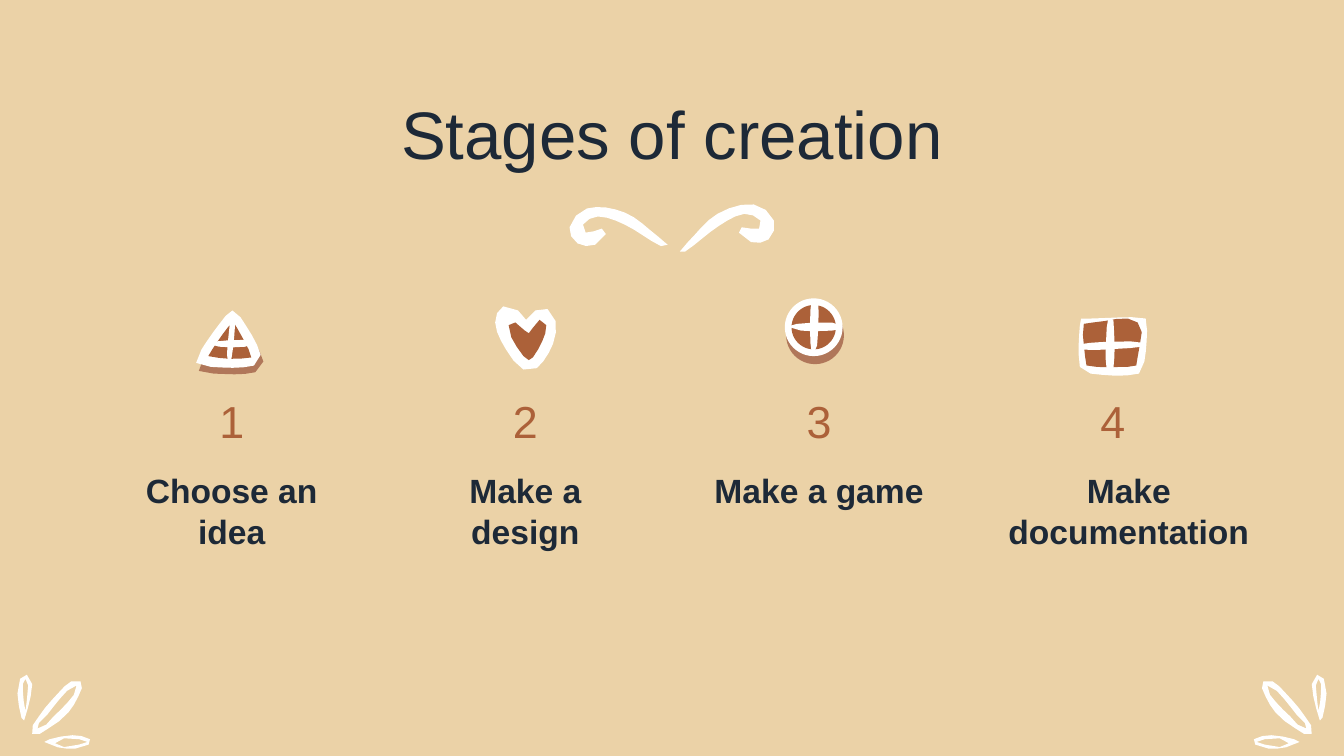
from pptx import Presentation
from pptx.dml.color import RGBColor
from pptx.enum.shapes import MSO_SHAPE
from pptx.enum.text import MSO_ANCHOR, MSO_AUTO_SIZE, PP_ALIGN
from pptx.util import Cm, Pt

COLORS = {"sand": "EBD2A7", "navy": "1D2937", "cocoa": "AC6139",
          "shade": "B0775A", "white": "FFFFFF"}
UNIT = Cm(2.54) / 100  # drawing grid of the ornaments and icons
CHORD = 8  # approximate length of a curve's straight pieces, in grid units

PETALS = [
    [[(47, 6), (40, 6), (31, 14), (16, 32), (11, 45), (23, 41), (38, 29), (48, 11)],
     [(44, 9), (42, 16), (27, 32), (15, 41), (22, 31), (37, 13)]],
    [[(7, 1), (2, 4), (0, 15), (3, 33), (5, 35), (11, 8)],
     [(6, 4), (8, 9), (7, 20), (6, 28), (4, 8)]],
    [[(54, 49), (41, 46), (24, 49), (20, 51), (30, 55), (43, 56), (53, 53)],
     [(52, 51), (46, 53), (28, 52), (46, 49)]],
]
SPRIG_WIDTH = 55

SWIRLS = [
    [(67, 25), (42, 7), (14, 4), (1, 18), (7, 30), (20, 31), (28, 23), (25, 19),
     (19, 21), (13, 22), (11, 16), (22, 10), (42, 16), (69, 32), (74, 31)],
    [(89, 29), (111, 8), (138, 1), (153, 13), (149, 27), (136, 29), (127, 22), (129, 18),
     (136, 19), (142, 19), (143, 13), (131, 8), (112, 17), (87, 36), (83, 36)],
]

# Each icon layer: colour and outline, or colour and (left, top, diameter) of a disc
TRIANGLE = [
    ("shade", [(74, 43), (91, 19), (97, 14), (103, 20), (118, 47), (112, 55),
               (81, 56), (70, 54)]),
    ("white", [(72, 38), (90, 13), (95, 9), (101, 14), (116, 42), (111, 50),
               (79, 51), (68, 48)]),
    ("cocoa", [(80, 38), (92, 21), (96, 18), (99, 23), (107, 38), (109, 44), (77, 43)]),
    ("white", [(93, 20), (91, 42), (92, 48), (94, 47), (97, 20), (96, 12), (94, 13)]),
    ("white", [(84, 32), (103, 31), (109, 33), (105, 36), (85, 36), (78, 34)]),
]
HEART = [
    ("white", [(95, 16), (89, 9), (78, 6), (72, 18), (80, 38), (93, 53), (103, 52),
               (115, 34), (117, 17), (111, 8), (102, 9), (96, 15)]),
    ("cocoa", [(94, 24), (87, 18), (82, 20), (84, 29), (93, 43), (97, 46), (100, 44),
               (107, 32), (110, 20), (105, 16), (100, 22), (97, 26)]),
]
CIRCLE = [
    ("shade", (70, 6, 43)),
    ("white", (69, 0, 43)),
    ("cocoa", (74, 5, 33)),
    ("white", [(78, 19), (104, 18), (110, 20), (110, 23), (104, 24), (81, 24), (71, 21)]),
    ("white", [(88, 9), (88, 33), (89, 40), (91, 40), (93, 35), (94, 4), (92, 1), (89, 1)]),
]
SQUARE = [
    ("white", [(78, 15), (109, 14), (119, 15), (120, 24), (118, 47), (114, 56),
               (78, 56), (70, 51), (69, 41), (70, 20), (71, 15)]),
    ("cocoa", [(73, 19), (80, 18), (113, 18), (113, 44), (112, 50), (106, 51),
               (75, 50), (74, 44)]),
    ("white", [(71, 34), (108, 32), (116, 33), (116, 36), (107, 37), (71, 38)]),
    ("white", [(91, 16), (90, 22), (90, 53), (95, 52), (95, 16), (93, 15)]),
]
STAGES = [("Choose an idea", TRIANGLE, Cm(4.8)), ("Make a design", HEART, Cm(4.8)),
          ("Make a game", CIRCLE, Cm(4.8)), ("Make documentation", SQUARE, Cm(5.41))]


def rgb(name):
    return RGBColor.from_string(COLORS[name])


def paint(shape, color):
    shape.shadow.inherit = False
    shape.fill.solid()
    shape.fill.fore_color.rgb = rgb(color)
    shape.line.fill.background()


def smooth(outline):
    """Return points of a closed cubic curve through every point of the outline."""
    knots = [complex(*point) for point in outline]
    count = len(knots)
    curve = []
    for i, start in enumerate(knots):
        end = knots[(i + 1) % count]
        length = abs(end - start)
        leaving = end - knots[i - 1]
        arriving = knots[(i + 2) % count] - start
        handle_a = start + leaving / (abs(leaving) or 1) * length / 3
        handle_b = end - arriving / (abs(arriving) or 1) * length / 3
        steps = max(1, round(length / CHORD))
        for step in range(steps):
            t = step / steps
            curve.append((1 - t) ** 3 * start + 3 * t * (1 - t) ** 2 * handle_a
                         + 3 * t ** 2 * (1 - t) * handle_b + t ** 3 * end)
    return curve


def draw_outlines(slide, left, top, outlines, color):
    """Draw one filled shape; outlines after the first are cut out of it."""
    builder = None
    for outline in outlines:
        first, *rest = [(left + p.real * UNIT, top + p.imag * UNIT) for p in smooth(outline)]
        if builder is None:
            builder = slide.shapes.build_freeform(*first, scale=1.0)
        else:
            builder.move_to(*first)
        builder.add_line_segments(rest, close=True)
    paint(builder.convert_to_shape(), color)


def write(shape, text, *, size, color, bold=False, anchor=MSO_ANCHOR.TOP, after=0):
    frame = shape.text_frame
    frame.word_wrap = True
    frame.auto_size = MSO_AUTO_SIZE.NONE
    frame.vertical_anchor = anchor
    frame.margin_left = frame.margin_right = Cm(0.26)
    frame.margin_top = frame.margin_bottom = Cm(0.25)
    paragraph = frame.paragraphs[0]
    paragraph.alignment = PP_ALIGN.CENTER
    paragraph.space_before, paragraph.space_after = Pt(0), Pt(after)
    paragraph.line_spacing = 1.0
    run = paragraph.add_run()
    run.text = text
    run.font.name, run.font.size, run.font.bold = "Arial", Pt(size), bold
    run.font.color.rgb = rgb(color)


def place_title(slide, left, top, width, height):
    title = slide.shapes.title
    title.left, title.top, title.width, title.height = left, top, width, height
    write(title, "Stages of creation", size=36, color="navy")


def add_sprig(slide, left, top, mirrored=False):
    for petal in PETALS:
        outlines = [[(SPRIG_WIDTH - x if mirrored else x, y) for x, y in outline]
                    for outline in petal]
        draw_outlines(slide, left, top, outlines, "white")


def add_flourish(slide, left, top):
    for swirl in SWIRLS:
        draw_outlines(slide, left, top, [swirl], "white")


def add_icon(slide, left, top, layers):
    for color, form in layers:
        if isinstance(form, tuple):
            x, y, diameter = (round(value * UNIT) for value in form)
            disc = slide.shapes.add_shape(MSO_SHAPE.OVAL, left + x, top + y, diameter, diameter)
            paint(disc, color)
        else:
            draw_outlines(slide, left, top, [form], color)


def add_stage(slide, left, top, number, label, icon, label_width):
    add_icon(slide, left, top, icon)
    number_box = slide.shapes.add_textbox(left, top + Cm(1.65), Cm(4.8), Cm(1.32))
    write(number_box, str(number), size=24, color="cocoa", anchor=MSO_ANCHOR.MIDDLE)
    label_box = slide.shapes.add_textbox(left, top + Cm(3), label_width, Cm(1.78))
    write(label_box, label, size=18, color="navy", bold=True, after=16)


def main():
    deck = Presentation()
    deck.slide_width, deck.slide_height = Cm(25.4), Cm(14.29)
    slide = deck.slides.add_slide(deck.slide_layouts[5])
    slide.background.fill.solid()
    slide.background.fill.fore_color.rgb = rgb("sand")

    margin = Cm(0.33)
    sprig_top = Cm(12.73)
    add_sprig(slide, margin, sprig_top)
    add_sprig(slide, deck.slide_width - margin - round(SPRIG_WIDTH * UNIT), sprig_top,
              mirrored=True)
    add_flourish(slide, Cm(10.74), Cm(3.84))
    place_title(slide, Cm(1.98), Cm(1.5), Cm(21.44), Cm(1.7))
    for i, (label, icon, label_width) in enumerate(STAGES):
        add_stage(slide, Cm(1.98) + i * Cm(5.55), Cm(5.64), i + 1, label, icon, label_width)
    deck.save("out.pptx")


if __name__ == "__main__":
    main()
